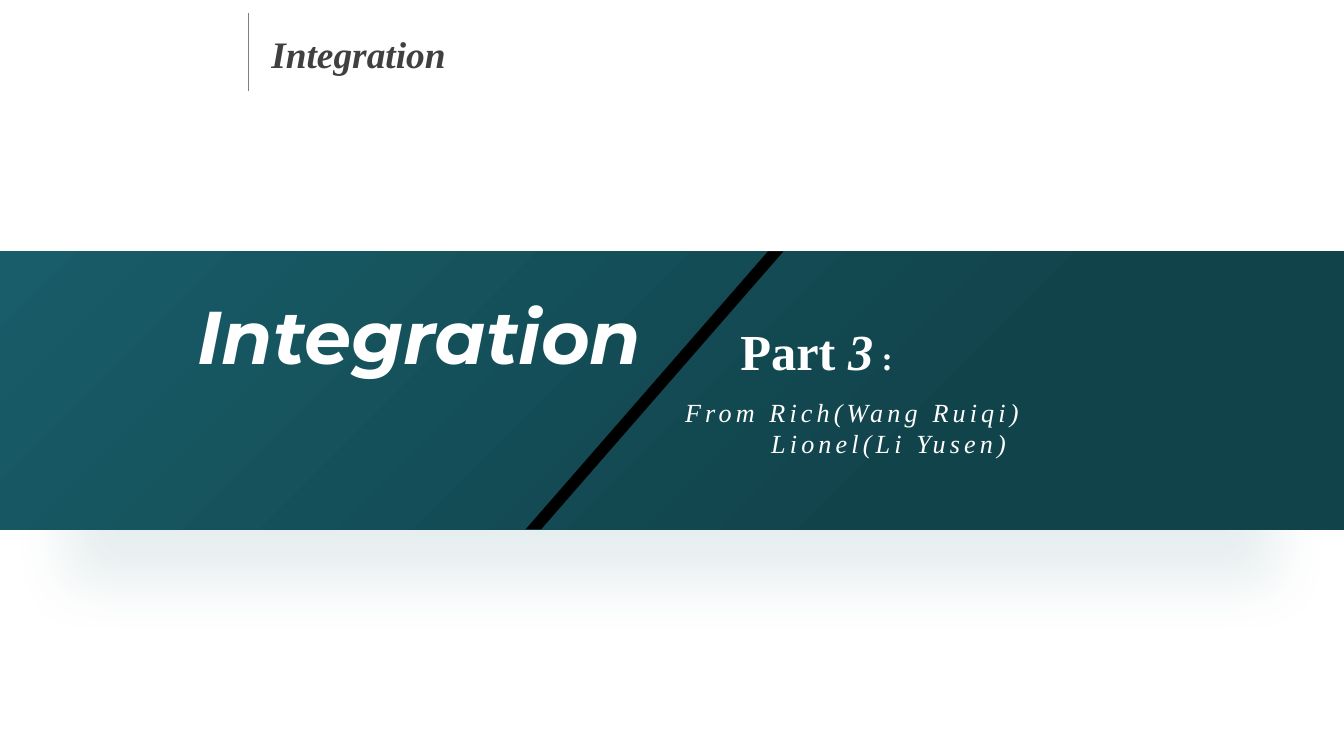
from dataclasses import dataclass

from lxml import etree
from pptx import Presentation
from pptx.dml.color import RGBColor
from pptx.enum import shapes, text
from pptx.oxml import ns
from pptx.util import Inches, Pt

WHITE = RGBColor(0xFF, 0xFF, 0xFF)
BLACK = RGBColor(0, 0, 0)
GREY = RGBColor(0x80, 0x80, 0x80)
DARK_GREY = RGBColor(0x40, 0x40, 0x40)
TEAL = RGBColor(0x18, 0x5D, 0x69)
DEEP_TEAL = RGBColor(0x11, 0x43, 0x4B)
SERIF = "Times New Roman"
SLIDE_WIDTH = Inches(10)
SLIDE_HEIGHT = SLIDE_WIDTH * 9 // 16
BAND_TOP, BAND_HEIGHT = 1.87, 2.07


@dataclass
class Run:
    text: str
    size: float
    bold: bool = False
    italic: bool = False
    spacing: float = 0


@dataclass
class Line:
    runs: list[Run]
    indent: float = 0


def add_text(s, box: tuple, lines: list[Line], *, font: str = SERIF,
             color: RGBColor = WHITE, align=text.PP_ALIGN.LEFT, wrap: bool = True):
    tf = s.shapes.add_textbox(*map(Inches, box)).text_frame
    tf.word_wrap = wrap
    tf.auto_size = text.MSO_AUTO_SIZE.SHAPE_TO_FIT_TEXT
    for i, line in enumerate(lines):
        p = tf.add_paragraph() if i else tf.paragraphs[0]
        p.alignment = align
        if line.indent:
            p._p.get_or_add_pPr().set("marL", str(Inches(line.indent)))
        for run in line.runs:
            r = p.add_run()
            r.text = run.text
            f = r.font
            f.name, f.size, f.color.rgb = font, Pt(run.size), color
            f.bold, f.italic = run.bold, run.italic
            if run.spacing:
                r._r.get_or_add_rPr().set("spc", str(round(run.spacing * 100)))


def add_plain_shape(s, kind: shapes.MSO_SHAPE, left: float, width: float):
    """Add an outline-free shape as high as the band."""
    sp = s.shapes.add_shape(kind, *map(Inches, (left, BAND_TOP, width, BAND_HEIGHT)))
    sp.line.fill.background()
    sp.shadow.inherit = False
    return sp


def add_drop_shadow(sp, color: RGBColor) -> None:
    effects = sp._element.spPr.find(ns.qn("a:effectLst"))
    shadow = etree.SubElement(
        effects, ns.qn("a:outerShdw"), blurRad=str(Pt(30)), dist=str(Pt(40)),
        dir="5400000", sx="90000", sy="85000", algn="ctr", rotWithShape="0")
    clr = etree.SubElement(shadow, ns.qn("a:srgbClr"), val=str(color))
    etree.SubElement(clr, ns.qn("a:alpha"), val="10000")


def add_band(s) -> None:
    band = add_plain_shape(s, shapes.MSO_SHAPE.RECTANGLE, 0, 10)
    band.fill.gradient()
    band.fill.gradient_angle = 315
    stops = zip(band.fill.gradient_stops, ((0, TEAL), (0.71, DEEP_TEAL)))
    for stop, (position, color) in stops:
        stop.position, stop.color.rgb = position, color
    add_drop_shadow(band, TEAL)


def add_slash(s) -> None:
    slash = add_plain_shape(s, shapes.MSO_SHAPE.PARALLELOGRAM, 3.91, 1.92)
    slash.adjustments[0] = 0.94
    slash.fill.solid()
    slash.fill.fore_color.rgb = BLACK


def add_header_rule(s) -> None:
    rule = s.shapes.add_connector(
        shapes.MSO_CONNECTOR.STRAIGHT, *map(Inches, (1.85, 0.1, 1.85, 0.68)))
    rule.line.color.rgb, rule.line.width = GREY, Pt(0.5)
    etree.SubElement(rule._element.spPr, ns.qn("a:effectLst"))


def main() -> None:
    prs = Presentation()
    prs.slide_width, prs.slide_height = SLIDE_WIDTH, SLIDE_HEIGHT
    s = prs.slides.add_slide(prs.slide_layouts[6])

    add_header_rule(s)
    add_band(s)
    add_text(s, (1.35, 2.11, 3.54, 0.77),
             [Line([Run("Integration", 40, bold=True, italic=True)])],
             font="Montserrat", align=text.PP_ALIGN.CENTER, wrap=False)
    add_slash(s)
    add_text(s, (5.35, 2.33, 1.92, 0.56),
             [Line([Run("Part ", 27, bold=True),
                    Run("3", 27, bold=True, italic=True),
                    Run(" :", 18, bold=True)], indent=0.06)])
    add_text(s, (5, 2.9, 5.13, 0.57),
             [Line([Run(name, 14, italic=True, spacing=2.2)], indent)
              for name, indent in (("From Rich(Wang Ruiqi)", 0),
                                   ("Lionel(Li Yusen)", 0.64))])
    add_text(s, (1.92, 0.18, 5.51, 0.44),
             [Line([Run("Integration", 20, bold=True, italic=True)])],
             color=DARK_GREY)

    prs.save("out.pptx")


if __name__ == "__main__":
    main()
